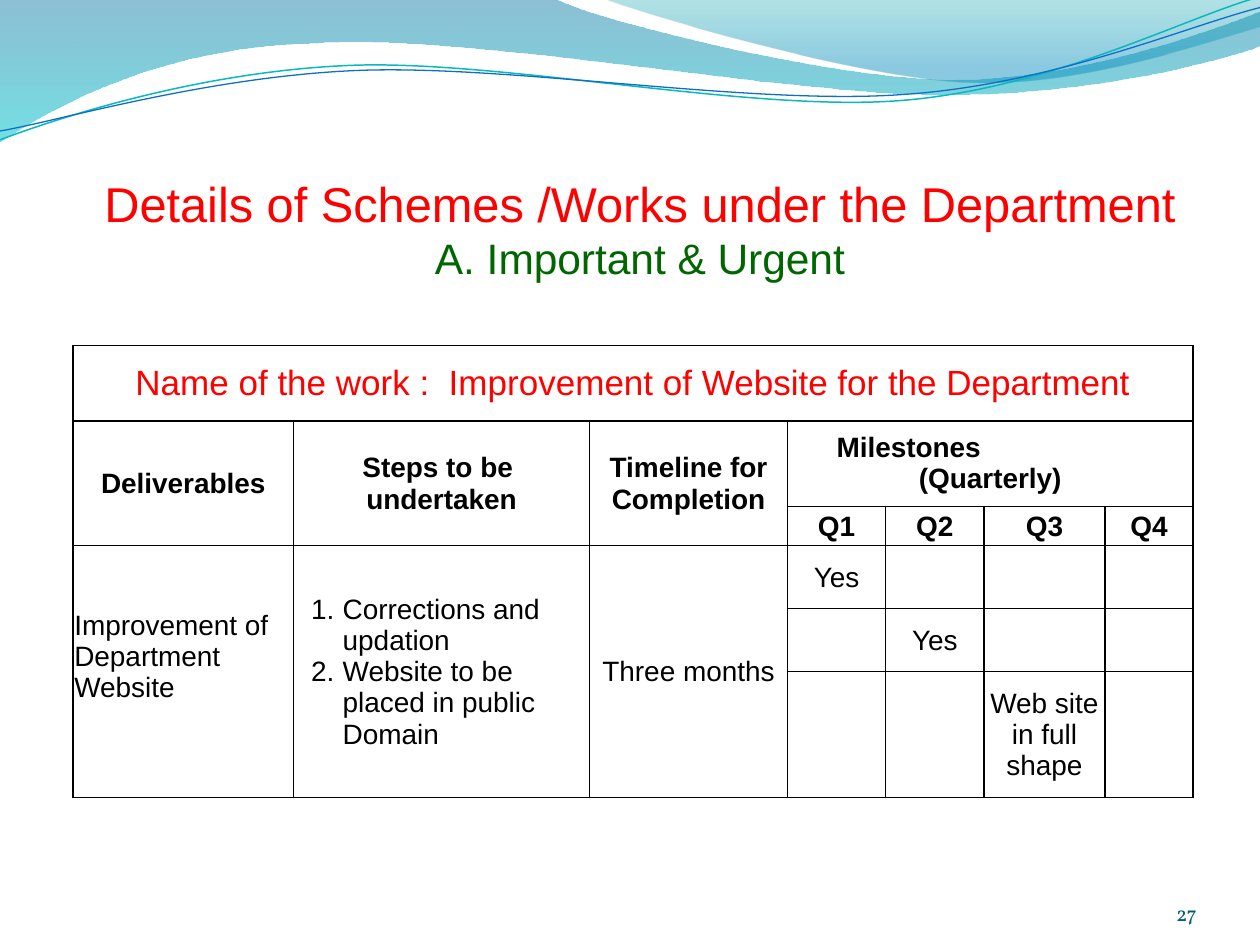
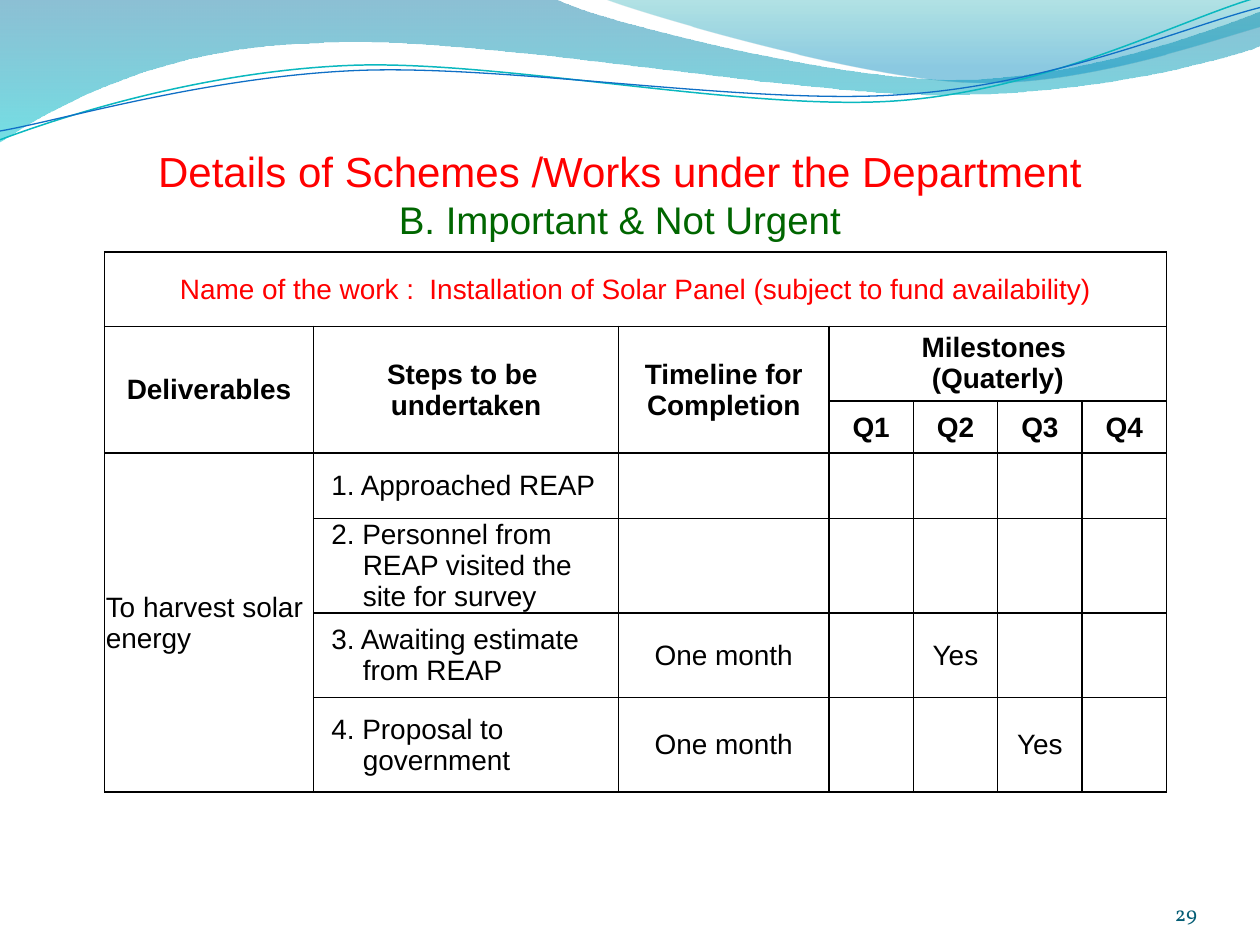
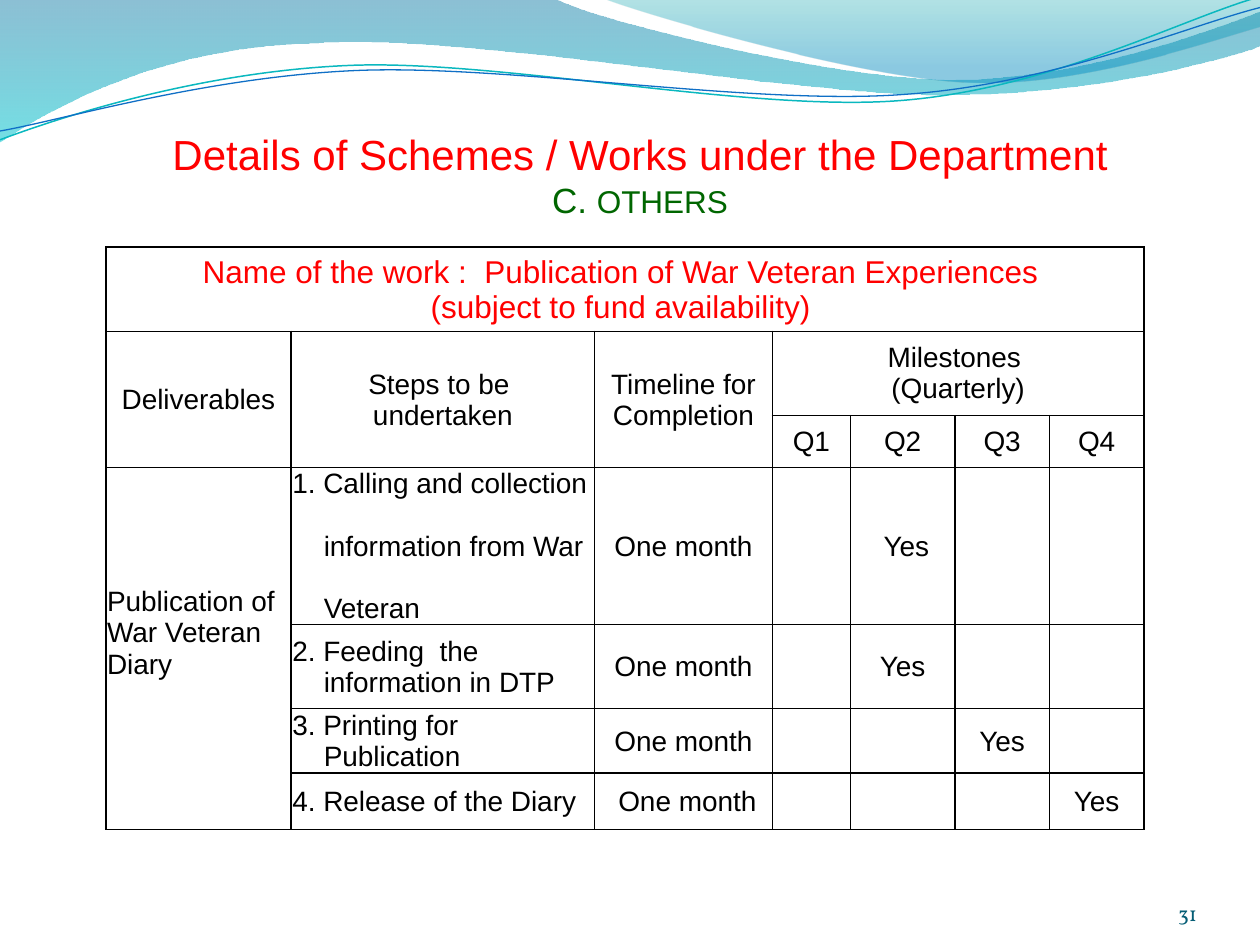
from copy import deepcopy

from pptx import Presentation
from pptx.dml.color import RGBColor
from pptx.enum.text import MSO_ANCHOR, MSO_AUTO_SIZE, PP_ALIGN
from pptx.oxml.ns import qn
from pptx.util import Inches, Pt
from lxml.etree import SubElement

COLOURS = {
    "heading": "FF0000", "category": "006600", "ink": "000000", "number": "045D75",
    "teal_line": "0AB8BF", "blue_line": "0F6FC6",
    "deep": "0074A1", "aqua": "00C6CF", "sea": "00A1A9", "sky": "008BBF",
}
BODY_FONT, NUMBER_FONT = "Arial", "Vollkorn"
BODY_SIZE = 16
UNITS = 1000
TIGHT = (0.01, 0.01, 0.01, 0)
ROOMY = (0.1, 0.05, 0.1, 0.05)
QUARTERS = ["Q1", "Q2", "Q3", "Q4"]
HEADERS = [["Deliverables"], ["Steps to be ", "undertaken"], ["Timeline for Completion"]]
HANGING = {"align": "left", "left": 0.38, "hang": 0.25}
FLUSH = {"align": "left", "left": 0.25, "hang": 0.25}
SPACED = {"align": "left", "left": 0.25, "before": 17.8}

WAVES = [
    {"start": (0, 0), "stops": [(0, "deep", 45), (1, "aqua", 55)], "segments": [
        (4.4, -0.01), (4.76, 0.17, 6.64, 0.63, 7.58, 0.63), (8.53, 0.63, 9.58, 0.26, 10, 0.09),
        (10.01, 0.36), (9.83, 0.44, 8.7, 0.76, 7.46, 0.75), (6.22, 0.75, 3.82, 0.28, 2.57, 0.34),
        (1.29, 0.36, 0.46, 0.83, -0.01, 1.13)]},
    {"start": (4.79, -0.01), "stops": [(0, "sea", 30), (0.8, "sky", 45)], "segments": [
        (5.09, 0.11, 6.82, 0.62, 7.69, 0.65), (8.56, 0.69, 9.61, 0.32, 10, 0.21), (10, 0)]},
    {"start": (0, 1.11), "line": ("teal_line", 0.85), "segments": [
        (0.48, 0.93, 1.58, 0.57, 2.77, 0.52), (3.95, 0.47, 5.93, 0.89, 7.13, 0.8),
        (8.33, 0.71, 9.38, 0.15, 9.98, -0.02)]},
    {"start": (0, 1.04), "line": ("blue_line", 0.75), "segments": [
        (0.47, 0.96, 1.64, 0.61, 2.83, 0.56), (4.03, 0.51, 5.97, 0.84, 7.17, 0.75),
        (8.36, 0.67, 9.41, 0.21, 10, 0.06)]},
]

SLIDES = [
    {"number": "27", "title_box": (0.58, 1.42, 9, 0.83),
     "title": [("Details of Schemes /Works under the Department\n", 27.9, "heading"),
               ("A. Important & Urgent", 24.3, "category")],
     "corner": (0.58, 2.74), "columns": [1.75, 2.35, 1.57, 0.78, 0.78, 0.96, 0.7],
     "rows": [0.6, 0.68, 0.31, 0.5, 0.5, 1], "bold": True,
     "work": "Name of the work :  Improvement of Website for the Department", "work_size": 20,
     "milestones": [("Milestones", {"align": "left", "left": 0.29}), "(Quarterly)"],
     "deliverable": "Improvement of Department Website", "lift": 0.25, "merged_columns": 3,
     "steps": [[[("Corrections and updation", {**HANGING, "numbered": True}),
                 ("Website to be placed in public Domain", {**HANGING, "numbered": True})],
                ["Three months"], ["Yes"]],
               [None, None, None, ["Yes"]],
               [None, None, None, None, ["Web site in full shape"]]]},
    {"number": "29", "title_box": (0.42, 1, 9, 0.92),
     "title": [("Details of Schemes /Works under the Department\n", 24, "heading"),
               ("B. Important & Not Urgent", 22, "category")],
     "corner": (0.83, 2), "columns": [1.66, 2.42, 1.67, 0.67, 0.67, 0.67, 0.67],
     "rows": [0.59, 0.59, 0.41, 0.52, 0.52, 0.67, 0.75], "bold": True,
     "work": "Name of the work :  Installation of Solar Panel (subject to fund availability)",
     "work_size": 16, "milestones": ["Milestones ", "(Quaterly)"],
     "deliverable": "To harvest solar energy", "lift": 0, "merged_columns": 1,
     "steps": [[[("1. Approached REAP", HANGING)]],
               [[("2. Personnel from REAP visited the site for survey", HANGING)]],
               [[("3. Awaiting estimate from REAP", HANGING)], ["One month"], None, ["Yes"]],
               [[("4. Proposal to government", HANGING)], ["One month"], None, None, ["Yes"]]]},
    {"number": "31", "title_box": (0.33, 0.92, 9.5, 0.83),
     "title": [("Details of Schemes / Works under the Department\n", 24, "heading"),
               ("C. ", 20, "category"), ("OTHERS", 18, "category")],
     "corner": (0.84, 1.96), "columns": [1.47, 2.41, 1.41, 0.62, 0.83, 0.75, 0.75],
     "rows": [0.67, 0.67, 0.41, 0.89, 0.67, 0.51, 0.45], "bold": False,
     "work": "Name of the work :  Publication of War Veteran Experiences \n"
             "(subject to fund availability) ",
     "work_size": 18, "milestones": ["Milestones ", "(Quarterly)"],
     "deliverable": "Publication of War Veteran Diary", "lift": 0.25, "merged_columns": 1,
     "steps": [[[("1. Calling and collection", FLUSH), ("information from War", SPACED),
                 ("Veteran", SPACED)], ["One month"], None, [" Yes"]],
               [[("2. Feeding  the information in DTP", FLUSH)], ["One month"], None, ["Yes"]],
               [[("3. Printing for Publication", FLUSH)], ["One month"], None, None, ["Yes"]],
               [[("4. Release of the Diary", FLUSH)], [" One month"], None, None, None,
                ["Yes"]]]},
]

ALIGNMENTS = {"left": PP_ALIGN.LEFT, "center": PP_ALIGN.CENTER, "right": PP_ALIGN.RIGHT}


def rgb(name):
    return RGBColor.from_string(COLOURS[name])


def format_paragraph(paragraph, align="center", left=0, hang=0, before=0, numbered=False):
    paragraph.alignment = ALIGNMENTS[align]
    paragraph.space_before = Pt(before)
    properties = paragraph._p.get_or_add_pPr()
    properties.set("marL", str(Inches(left)))
    properties.set("indent", str(-Inches(hang)))
    if numbered:
        SubElement(properties, qn("a:buAutoNum"), type="arabicPeriod")


def write(frame, lines, size=BODY_SIZE, colour="ink", font=BODY_FONT, bold=False, **layout):
    for index, line in enumerate(lines):
        paragraph = frame.paragraphs[0] if index == 0 else frame.add_paragraph()
        line, extra = line if isinstance(line, tuple) else (line, {})
        format_paragraph(paragraph, **{**layout, **extra})
        runs = [(line, size, colour)] if isinstance(line, str) else line
        for words, run_size, run_colour in runs:
            for part_index, part in enumerate(words.split("\n")):
                if part_index:
                    paragraph.add_line_break()
                    paragraph._p[-1].append(deepcopy(run.font._rPr))
                if part:
                    run = paragraph.add_run()
                    run.text = part
                    run.font.name, run.font.size, run.font.bold = font, Pt(run_size), bold
                    run.font.color.rgb = rgb(run_colour)


def set_margins(holder, margins):
    (holder.margin_left, holder.margin_top,
     holder.margin_right, holder.margin_bottom) = map(Inches, margins)


def bend(ribbon, anchors, segments):
    left, top = (min(values) for values in zip(*anchors))
    for reach, segment in zip(list(ribbon.element.iter(qn("a:lnTo"))), segments):
        if len(segment) == 2:
            continue
        reach.tag = qn("a:cubicBezTo")
        for place, (x, y) in enumerate((segment[:2], segment[2:4])):
            handle = SubElement(reach, qn("a:pt"), x=str(round(x * UNITS - left)),
                                y=str(round(y * UNITS - top)))
            reach.insert(place, handle)


def draw_wave(slide, wave):
    anchors = [(round(x * UNITS), round(y * UNITS))
               for x, y in [wave["start"], *(segment[-2:] for segment in wave["segments"])]]
    builder = slide.shapes.build_freeform(*anchors[0], scale=Inches(1) / UNITS)
    builder.add_line_segments(anchors[1:], close="stops" in wave)
    ribbon = builder.convert_to_shape()
    bend(ribbon, anchors, wave["segments"])
    ribbon.shadow.inherit = False
    if "line" in wave:
        colour, width = wave["line"]
        ribbon.fill.background()
        ribbon.line.color.rgb = rgb(colour)
        ribbon.line.width = Pt(width)
        return ribbon
    ribbon.line.fill.background()
    ribbon.fill.gradient()
    ribbon.fill.gradient_angle = 270
    for stop, (position, colour, _) in zip(ribbon.fill.gradient_stops, wave["stops"]):
        stop.position = position
        stop.color.rgb = rgb(colour)
    for tint, (_, _, opacity) in zip(ribbon.element.iter(qn("a:srgbClr")), wave["stops"]):
        SubElement(tint, qn("a:alpha"), val=str(opacity * 1000))
    return ribbon


def add_waves(layout, slide):
    for wave in WAVES:
        layout.element.cSld.spTree.append(draw_wave(slide, wave).element)


def rule_cell(cell):
    properties = cell._tc.get_or_add_tcPr()
    for side in ("lnL", "lnR", "lnT", "lnB"):
        edge = SubElement(properties, qn(f"a:{side}"), w=str(Pt(1)))
        fill = SubElement(edge, qn("a:solidFill"))
        SubElement(fill, qn("a:srgbClr"), val=COLOURS["ink"])
    cell.fill.background()
    cell.vertical_anchor = MSO_ANCHOR.MIDDLE
    set_margins(cell, TIGHT)


def add_plan(slide, content):
    columns, rows = content["columns"], content["rows"]
    box = (*content["corner"], sum(columns), sum(rows))
    plan = slide.shapes.add_table(len(rows), len(columns), *map(Inches, box)).table
    plan.first_row = plan.horz_banding = False
    for column, width in zip(plan.columns, columns):
        column.width = Inches(width)
    for row, height in zip(plan.rows, rows):
        row.height = Inches(height)
    for cell in plan.iter_cells():
        rule_cell(cell)

    last_row, last_column = len(rows) - 1, len(columns) - 1
    plan.cell(0, 0).merge(plan.cell(0, last_column))
    plan.cell(1, 3).merge(plan.cell(1, last_column))
    for column in range(len(HEADERS)):
        plan.cell(1, column).merge(plan.cell(2, column))
    for column in range(content["merged_columns"]):
        plan.cell(3, column).merge(plan.cell(last_row, column))

    bold = content["bold"]
    write(plan.cell(0, 0).text_frame, [content["work"]], size=content["work_size"],
          colour="heading")
    for column, header in enumerate(HEADERS):
        write(plan.cell(1, column).text_frame, header, bold=bold)
    set_margins(plan.cell(1, 3), ROOMY)
    write(plan.cell(1, 3).text_frame, content["milestones"], bold=bold)
    for column, quarter in enumerate(QUARTERS, 3):
        write(plan.cell(2, column).text_frame, [quarter], bold=bold)
    deliverable = plan.cell(3, 0)
    deliverable.margin_bottom = Inches(content["lift"])
    write(deliverable.text_frame, [content["deliverable"]], align="left")
    for row, step in enumerate(content["steps"], 3):
        for column, entry in enumerate(step, 1):
            if entry:
                write(plan.cell(row, column).text_frame, entry)


def prepare_frame(frame, margins):
    frame.word_wrap = True
    frame.auto_size = MSO_AUTO_SIZE.NONE
    frame.vertical_anchor = MSO_ANCHOR.BOTTOM
    set_margins(frame, margins)
    return frame


def add_title(slide, content):
    title = slide.shapes.title
    title.left, title.top, title.width, title.height = map(Inches, content["title_box"])
    write(prepare_frame(title.text_frame, (0, 0.05, 0, 0)), [content["title"]])


def add_number(slide, content):
    number = slide.shapes.add_textbox(*map(Inches, (8.67, 6.95, 0.83, 0.4)))
    write(prepare_frame(number.text_frame, (0, 0, 0, 0)), [content["number"]], size=12,
          colour="number", font=NUMBER_FONT, align="right")


def main():
    deck = Presentation()
    deck.slide_width, deck.slide_height = Inches(10), Inches(7.5)
    title_only = deck.slide_layouts[5]
    for index, content in enumerate(SLIDES):
        slide = deck.slides.add_slide(title_only)
        if index == 0:
            add_waves(title_only, slide)
        add_title(slide, content)
        add_plan(slide, content)
        add_number(slide, content)
    deck.save("out.pptx")


if __name__ == "__main__":
    main()
